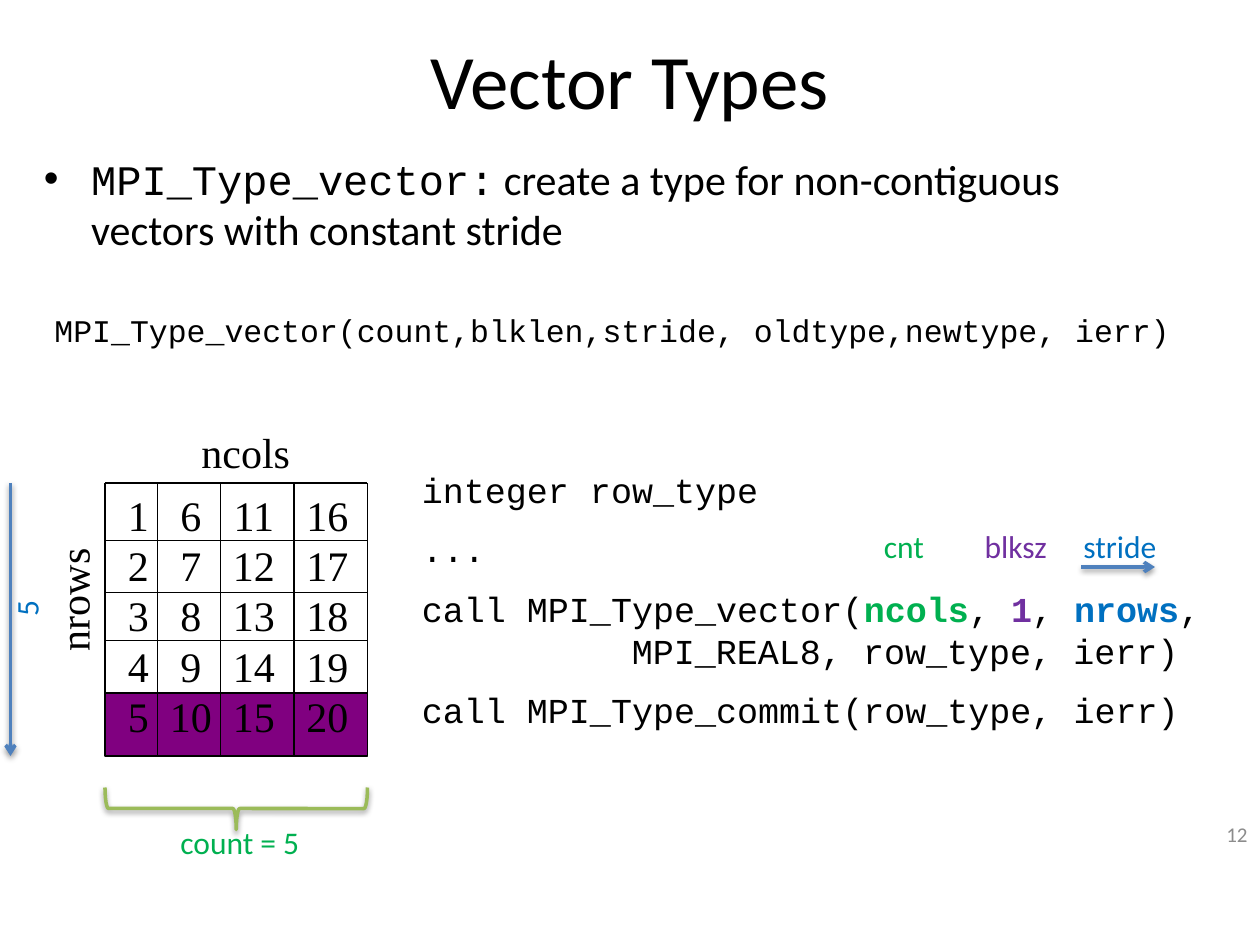
import pptx
import pptx.util
import pptx.dml.color
import pptx.enum.shapes
import pptx.enum.text
import pptx.oxml
import pptx.oxml.ns
import lxml.etree

COLORS = {"ink": "000000", "count": "00B050", "block": "7030A0", "stride": "0070C0",
          "row": "800080", "arrow": "4F81BD", "brace": "9BBB59", "page": "8C8C8C"}
SANS, MONO, SERIF = "Calibri", "Courier New", "Times New Roman"
ALIGN = pptx.enum.text.PP_ALIGN
ANCHOR = pptx.enum.text.MSO_ANCHOR
SHAPE = pptx.enum.shapes.MSO_SHAPE
BREAK = "\n"


def grid(units):
    return pptx.util.Inches(units / 12)


def color(name):
    return pptx.dml.color.RGBColor.from_string(COLORS[name])


def add_xml(parent, tag, **attributes):
    element = lxml.etree.SubElement(parent, pptx.oxml.ns.qn(tag))
    for key, value in attributes.items():
        element.set(key, str(value))
    return element


class Deck:
    def __init__(self, columns, rows):
        self.presentation = pptx.Presentation()
        self.presentation.slide_width = grid(columns)
        self.presentation.slide_height = grid(rows)
        self.slide = self.presentation.slides.add_slide(self.presentation.slide_layouts[6])

    def text(self, box, paragraphs, font, size, tint="ink", align=ALIGN.LEFT, anchor=ANCHOR.TOP,
             wrap=True, turn=0, gap=0, tabs=(), bullet=False):
        holder = self.slide.shapes.add_textbox(*map(grid, box))
        holder.rotation = turn
        frame = holder.text_frame
        frame.word_wrap = wrap
        if not wrap:
            frame.auto_size = pptx.enum.text.MSO_AUTO_SIZE.SHAPE_TO_FIT_TEXT
        frame.vertical_anchor = anchor
        for number, runs in enumerate(paragraphs):
            paragraph = frame.add_paragraph() if number else frame.paragraphs[0]
            paragraph.alignment = align
            paragraph.space_before = pptx.util.Pt(gap if number else 0)
            for item in [runs] if isinstance(runs, str) else runs:
                if item == BREAK:
                    paragraph.add_line_break()
                    continue
                words, style = (item, {}) if isinstance(item, str) else item
                run = paragraph.add_run()
                run.text = words
                run.font.name = style.get("font", font)
                run.font.size = pptx.util.Pt(size)
                run.font.bold = style.get("bold", False)
                run.font.color.rgb = color(style.get("tint", tint))
            properties = paragraph._p.get_or_add_pPr()
            if bullet:
                properties.set("marL", str(grid(4.5)))
                properties.set("indent", str(-grid(4.5)))
                add_xml(properties, "a:buFont", typeface="Arial")
                add_xml(properties, "a:buChar", char="•")
            if tabs:
                stops = add_xml(properties, "a:tabLst")
                for position, kind in tabs:
                    add_xml(stops, "a:tab", pos=grid(position), algn=kind)

    def shadow(self, properties):
        effects = add_xml(properties, "a:effectLst")
        cast = add_xml(effects, "a:outerShdw", blurRad=40000, dist=20000, dir=5400000, rotWithShape=0)
        add_xml(add_xml(cast, "a:srgbClr", val=COLORS["ink"]), "a:alpha", val=38000)

    def line(self, start, end, tint="ink", width=0.75, arrow=False):
        connector = self.slide.shapes.add_connector(
            pptx.enum.shapes.MSO_CONNECTOR.STRAIGHT, *map(grid, (*start, *end)))
        connector.line.color.rgb = color(tint)
        connector.line.width = pptx.util.Pt(width)
        properties = connector._element.spPr
        if arrow:
            add_xml(connector.line._get_or_add_ln(), "a:tailEnd", type="arrow")
            self.shadow(properties)
        else:
            add_xml(properties, "a:effectLst")

    def shape(self, kind, box, outline, width, fill=None, turn=0, shaded=False):
        shape = self.slide.shapes.add_shape(kind, *map(grid, box))
        shape.rotation = turn
        if fill:
            shape.fill.solid()
            shape.fill.fore_color.rgb = color(fill)
        else:
            shape.fill.background()
        shape.line.color.rgb = color(outline)
        shape.line.width = pptx.util.Pt(width)
        if shaded:
            self.shadow(shape._element.spPr)
        else:
            shape.shadow.inherit = False


deck = Deck(120, 90)
deck.text((6, 0, 108, 15), ["Vector Types"], SANS, 44, align=ALIGN.CENTER, anchor=ANCHOR.MIDDLE)
deck.text((3, 14, 107, 66),
          [[("MPI_Type_vector:", {"font": MONO}),
            " create a type for non-contiguous vectors with constant stride"]],
          SANS, 24, bullet=True)
deck.text((4, 29, 116, 4.8),
          ["MPI_Type_vector(count,blklen,stride, oldtype,newtype, ierr)"], MONO, 18)

column_edges = (10, 15, 21, 28, 35)
row_edges = (46, 51.5, 56.4, 61, 66, 72)
left, right = column_edges[0], column_edges[-1]
top, bottom = row_edges[0], row_edges[-1]
row_count, column_count = len(row_edges) - 1, len(column_edges) - 1

deck.shape(SHAPE.RECTANGLE, (left, row_edges[-2], right - left, bottom - row_edges[-2]),
           "ink", 0.75, fill="row")
matrix = ["\t" + "\t".join(str(row + row_count * column) for column in range(column_count))
          for row in range(1, row_count + 1)]
deck.text((left, top, 24.4, 25.2), matrix, SERIF, 24,
          tabs=[(position, "ctr") for position in (2, 7, 13, 20)])
for x in column_edges:
    deck.line((x, top), (x, bottom))
for y in row_edges:
    deck.line((left, y), (right, y))
deck.text((0.84, 54.1, 12.2, 6), ["nrows"], SERIF, 24, wrap=False, turn=270)
deck.text((18, 40, 11.2, 6), ["ncols"], SERIF, 24, wrap=False)

call = ["call MPI_Type_vector(", ("ncols", {"tint": "count", "bold": True}), ", ",
        ("1", {"tint": "block", "bold": True}), ", ",
        ("nrows", {"tint": "stride", "bold": True}), ",",
        BREAK, "\tMPI_REAL8, row_type, ierr)"]
deck.text((39, 44, 79, 27.5),
          ["integer row_type", "...", call, "call MPI_Type_commit(row_type, ierr)"],
          MONO, 20, gap=10, tabs=[(20, "l")])

for start, end in (((1, top), (1, bottom)), ((103, 54), (110, 54))):
    deck.line(start, end, "arrow", 2, arrow=True)
for argument, x, width, tint in (("stride", 102, 9.5, "stride"), ("blksz", 92.6, 8.4, "block"),
                                 ("cnt", 83, 6.2, "count")):
    deck.text((x, 49.6, width, 4.8), [argument], SANS, 18, tint, wrap=False)

deck.shape(SHAPE.RIGHT_BRACE, (20.5, 64.5, 4, 25), "brace", 2, turn=90, shaded=True)
deck.text((16, 77.8, 13.9, 4.8), ["count = 5"], SANS, 18, "count", wrap=False)
deck.text((0.5, 55.5, 4, 4.8), ["5"], SANS, 18, "stride", wrap=False, turn=270)
deck.text((92, 77, 28, 4.8), ["12"], SANS, 12, "page", align=ALIGN.RIGHT, anchor=ANCHOR.MIDDLE)

deck.presentation.save("out.pptx")
